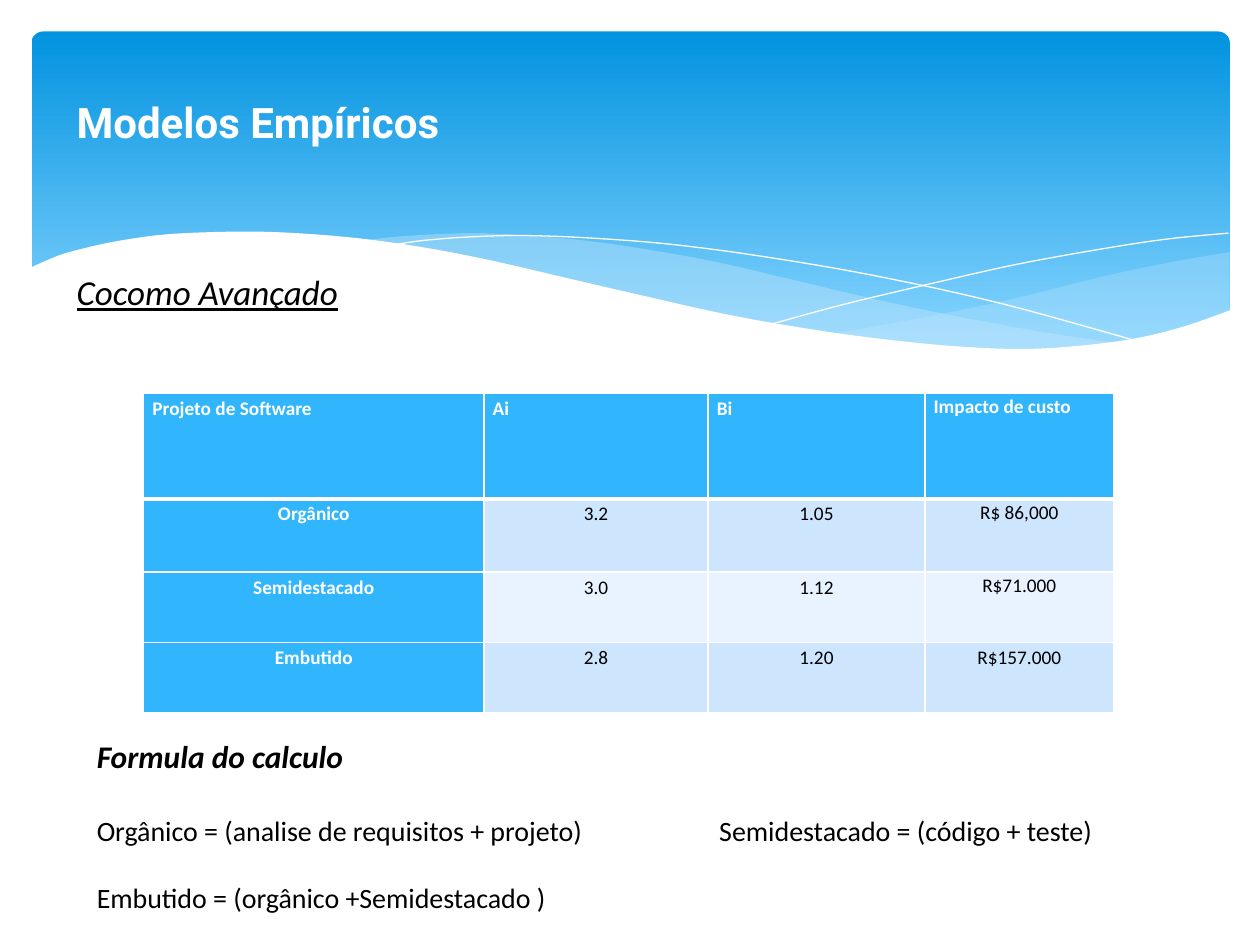
"""Build the slide on the advanced Cocomo model."""
from lxml.etree import SubElement
from pptx import Presentation
from pptx.dml.color import RGBColor
from pptx.enum.shapes import MSO_SHAPE
from pptx.enum.text import MSO_ANCHOR, PP_ALIGN
from pptx.oxml.ns import qn
from pptx.util import Inches, Pt

WHITE, BLACK, BLUE = "FFFFFF", "000000", "31B6FD"
BANDS = ["CEE5FE", "E8F3FF"]
COLS = [2.7, 1.78, 1.72, 1.5]
ROWS = [0.84, 0.58, 0.56, 0.56]
CELLS = [
    ["Projeto de Software", "Ai", "Bi", "Impacto de custo"],
    ["Orgânico", "3.2", "1.05", "R$ 86,000"],
    ["Semidestacado", "3.0", "1.12", "R$71.000"],
    ["Embutido", "2.8", "1.20", "R$157.000"],
]
NOTES = [
    ("Formula do calculo", dict(size=18, bold=True, slant=True)),
    ("Orgânico = (analise de requisitos + projeto)\tSemidestacado = (código + teste)",
     dict(size=16, before=22, tab=4.94)),
    ("Embutido = (orgânico +Semidestacado )", dict(size=16, before=19.5)),
]
WAVES = [
    (dict(fill="C6E7FC", alpha=29), [
        [(9.76, 2), (9.35, 2.07), (8.91, 2.16), (8.61, 2.23), (8.05, 2.37),
         (7.53, 2.48), (7.06, 2.57), (6.61, 2.65)],
        [(6.61, 2.65), (7.05, 2.71), (7.57, 2.76), (8.03, 2.78), (8.44, 2.77),
         (8.81, 2.73), (9.13, 2.67), (9.42, 2.59), (9.76, 2.47)]]),
    (dict(fill="C6E7FC", alpha=40), [
        [(8.93, 2.73), (8.37, 2.65), (7.75, 2.54), (7.06, 2.4), (6.29, 2.22),
         (5.69, 2.08), (5.14, 1.98), (4.65, 1.91), (4.2, 1.87), (3.8, 1.85),
         (3.44, 1.86), (3.13, 1.88), (2.86, 1.91)],
        [(2.86, 1.91), (3.42, 1.99), (4.04, 2.11), (4.49, 2.22), (5.3, 2.4),
         (6.01, 2.55), (6.65, 2.66), (7.22, 2.74), (7.73, 2.77), (8.18, 2.78),
         (8.57, 2.77), (8.93, 2.73)]]),
    (dict(line=WHITE), [
        [(3.09, 1.95), (3.35, 1.91), (3.74, 1.88), (4.16, 1.87), (4.69, 1.89),
         (5.33, 1.94), (6.08, 2.04), (6.95, 2.19), (7.95, 2.41), (9.07, 2.72)]]),
    (dict(line=WHITE), [
        [(6.13, 2.57), (6.72, 2.41), (7.48, 2.23), (8.06, 2.1), (8.66, 1.99),
         (9.24, 1.9), (9.75, 1.85)]]),
    (dict(fill=WHITE), [
        [(9.77, 2.46), (9.4, 2.59), (8.99, 2.69), (8.5, 2.75), (8.09, 2.77),
         (7.61, 2.75), (7.08, 2.7), (6.48, 2.62), (5.79, 2.5), (5.03, 2.33),
         (4.47, 2.2), (3.91, 2.07), (3.4, 1.97), (2.92, 1.9), (2.5, 1.86),
         (2.11, 1.84), (1.77, 1.84), (1.32, 1.86), (0.95, 1.91), (0.67, 1.97),
         (0.46, 2.03), (0.23, 2.13)],
        [(0.23, 3.29), (9.77, 3.29)]]),
]


def color(code):
    """Turn a hex string into a colour."""
    return RGBColor.from_string(code)


def write(para, text, size=11, font="Calibri", ink=BLACK, bold=False, slant=False,
          under=False, align=PP_ALIGN.LEFT, before=0, after=0, lead=1.0, tab=None):
    """Put formatted text in a paragraph."""
    para.alignment, para.line_spacing = align, lead
    para.space_before, para.space_after = Pt(before), Pt(after)
    run = para.add_run()
    run.text = text
    face = run.font
    face.name, face.size, face.bold = font, Pt(size), bold
    face.italic, face.underline = slant, under
    face.color.rgb = color(ink)
    if tab:
        stops = SubElement(para._p.get_or_add_pPr(), qn("a:tabLst"))
        SubElement(stops, qn("a:tab"), pos=str(Inches(tab)), algn="l")


def label(slide, box, lines, wrap=False):
    """Add a text box with one paragraph per line."""
    frame = slide.shapes.add_textbox(*map(Inches, box)).text_frame
    frame.word_wrap = wrap
    for i, (text, style) in enumerate(lines):
        write(frame.add_paragraph() if i else frame.paragraphs[0], text, **style)


def curve(knots, steps=6):
    """Return points on a smooth curve through the knots."""
    if len(knots) < 3:
        return knots
    ends = [knots[0], *knots, knots[-1]]
    points = []
    for a, b, c, d in zip(ends, ends[1:], ends[2:], ends[3:]):
        for t in (n / steps for n in range(steps)):
            points.append(tuple(
                q + t * (r - p + t * (2 * p - 5 * q + 4 * r - s
                                      + t * (3 * q - p - 3 * r + s))) / 2
                for p, q, r, s in zip(a, b, c, d)))
    return points + [knots[-1]]


def wave(slide, parts, fill=None, alpha=None, line=None):
    """Draw a filled wave or a thin curved line."""
    points = [tuple(map(Inches, spot)) for part in parts for spot in curve(part)]
    pen = slide.shapes.build_freeform(*points[0])
    pen.add_line_segments(points[1:], close=bool(fill))
    shape = pen.convert_to_shape()
    shape.shadow.inherit = False
    if fill:
        shape.fill.solid()
        shape.fill.fore_color.rgb = color(fill)
        shape.line.fill.background()
    else:
        shape.fill.background()
        shape.line.color.rgb = color(line)
        shape.line.width = Pt(0)
    if alpha:
        tint = shape._element.spPr.find(".//" + qn("a:srgbClr"))
        SubElement(tint, qn("a:alpha"), val=str(alpha * 1000))


def banner(slide):
    """Draw the blue band at the top."""
    box = map(Inches, (0.25, 0.25, 9.51, 2.7))
    shape = slide.shapes.add_shape(MSO_SHAPE.ROUNDED_RECTANGLE, *box)
    shape.adjustments[0] = 0.034
    shape.shadow.inherit = False
    shape.line.fill.background()
    shape.fill.gradient()
    shape.fill.gradient_angle = 270
    for stop, (place, code) in zip(shape.fill.gradient_stops,
                                   [(0, "0293E0"), (0.9, "83D3FE")]):
        stop.position, stop.color.rgb = place, color(code)


def border(cell, row):
    """Give a cell white edges, thick under the header."""
    widths = {"L": 1, "R": 1, "T": 3 if row == 1 else 1, "B": 1 if row else 3}
    for side, width in widths.items():
        edge = SubElement(cell._tc.get_or_add_tcPr(), qn("a:ln" + side),
                          w=str(Pt(width)))
        SubElement(SubElement(edge, qn("a:solidFill")), qn("a:srgbClr"), val=WHITE)


def grid(slide):
    """Add the table of project types."""
    box = map(Inches, (1.14, 3.12, sum(COLS), sum(ROWS)))
    table = slide.shapes.add_table(len(ROWS), len(COLS), *box).table
    for col, width in zip(table.columns, COLS):
        col.width = Inches(width)
    for r, (texts, height) in enumerate(zip(CELLS, ROWS)):
        table.rows[r].height = Inches(height)
        for c, text in enumerate(texts):
            cell = table.cell(r, c)
            head = r == 0 or c == 0
            tight = c == 3 and r < 3
            border(cell, r)
            cell.fill.solid()
            cell.fill.fore_color.rgb = color(BLUE if head else BANDS[(r - 1) % 2])
            cell.margin_left = cell.margin_right = Inches(0.07)
            cell.margin_top = cell.margin_bottom = 0
            cell.vertical_anchor = MSO_ANCHOR.TOP
            write(cell.text_frame.paragraphs[0], text, bold=head,
                  ink=WHITE if head else BLACK,
                  align=PP_ALIGN.CENTER if r else PP_ALIGN.LEFT,
                  lead=1.07 if tight else 1.15, after=8 if tight else 10)


def main():
    """Build and save the slide."""
    deck = Presentation()
    deck.slide_width, deck.slide_height = Inches(10), Inches(7.5)
    slide = deck.slides.add_slide(deck.slide_layouts[6])
    banner(slide)
    for style, parts in WAVES:
        wave(slide, parts, **style)
    label(slide, (0.51, 2.1, 2.32, 0.44),
          [("Cocomo Avançado", dict(size=20, slant=True, under=True))])
    label(slide, (0.51, 0.72, 3.47, 0.5),
          [("Modelos Empíricos", dict(size=24, font="Roboto", ink=WHITE, bold=True))])
    grid(slide)
    label(slide, (0.67, 5.8, 8.74, 1.51), NOTES, wrap=True)
    deck.save("out.pptx")


if __name__ == "__main__":
    main()
